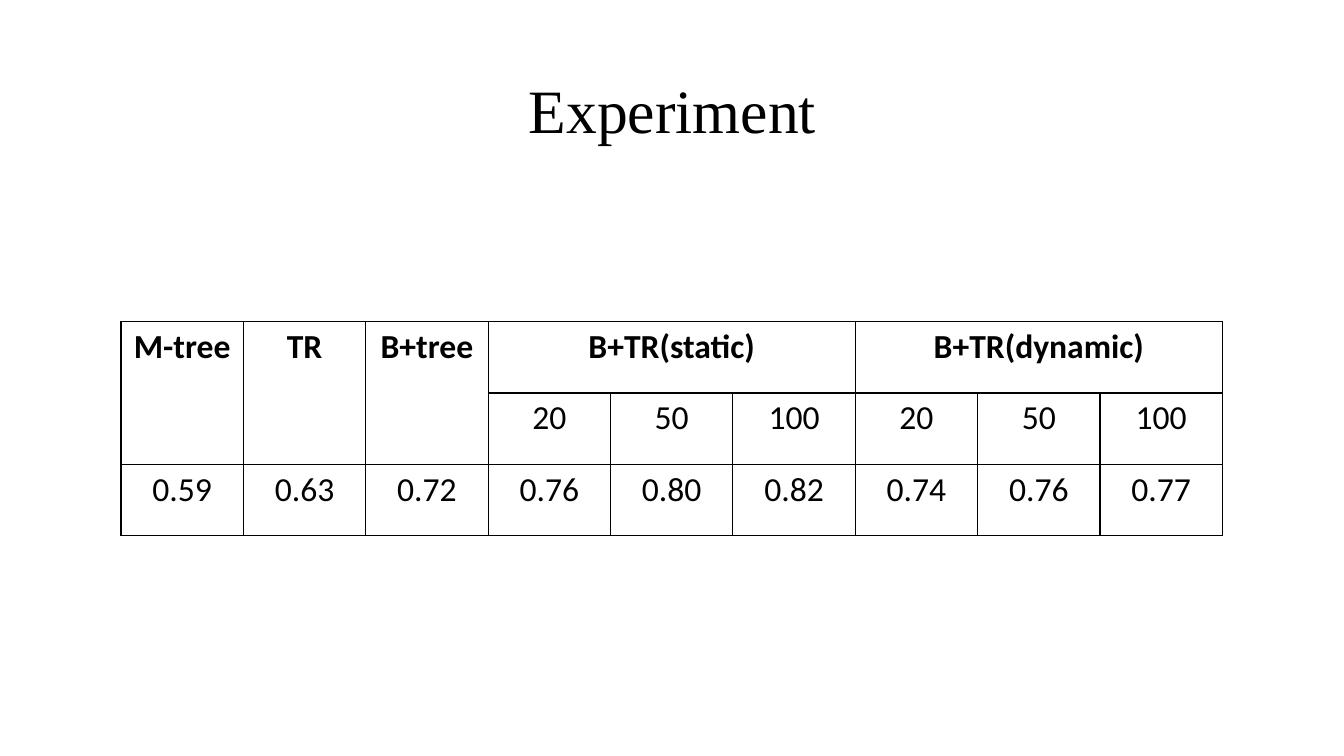
from dataclasses import dataclass

from lxml import etree
from pptx import Presentation
from pptx.dml.color import RGBColor
from pptx.enum.text import MSO_ANCHOR, PP_ALIGN
from pptx.oxml.ns import qn
from pptx.slide import Slide
from pptx.table import Table, _Cell
from pptx.text.text import _Paragraph
from pptx.util import Inches, Pt

CENTER = PP_ALIGN.CENTER
MIDDLE = MSO_ANCHOR.MIDDLE
TITLE_ONLY_LAYOUT = 5
BLACK = "000000"
TITLE_FONT = "Times New Roman"
TABLE_FONT = "Calibri"
SLIDE_WIDTH, SLIDE_HEIGHT = Inches(13.33), Inches(7.5)
COLUMN_WIDTH, ROW_HEIGHT = Inches(1.214), Inches(0.708)
ROW_COUNT, COLUMN_COUNT = 3, 9
TABLE_LEFT, TABLE_TOP = Inches(1.2), Inches(3.19)


@dataclass(frozen=True)
class Entry:
    text: str
    row: int
    column: int
    row_span: int = 1
    column_span: int = 1
    bold: bool = False


SIZES = ("20", "50", "100")
RESULTS = ("0.59", "0.63", "0.72", "0.76", "0.80", "0.82", "0.74", "0.76", "0.77")
ENTRIES = [
    *(Entry(text, 0, column, row_span=2, bold=True)
      for column, text in enumerate(("M-tree", "TR", "B+tree"))),
    *(Entry(text, 0, column, column_span=len(SIZES), bold=True)
      for column, text in ((3, "B+TR(static)"), (6, "B+TR(dynamic)"))),
    *(Entry(text, 1, column) for column, text in enumerate(SIZES * 2, start=3)),
    *(Entry(text, 2, column) for column, text in enumerate(RESULTS)),
]


def color(value: str) -> RGBColor:
    return RGBColor.from_string(value)


def format_paragraph(paragraph: _Paragraph, font_name: str, size: int, bold: bool) -> None:
    paragraph.alignment = CENTER
    for run in paragraph.runs:
        run.font.name = font_name
        run.font.size = Pt(size)
        run.font.bold = bold
        run.font.color.rgb = color(BLACK)


def add_title(slide: Slide, text: str) -> None:
    title = slide.shapes.title
    title.left, title.top = Inches(0.92), Inches(0.4)
    title.width, title.height = Inches(11.5), Inches(1.45)
    title.text_frame.text = text
    title.text_frame.vertical_anchor = MIDDLE
    paragraph = title.text_frame.paragraphs[0]
    paragraph.line_spacing = 0.9
    format_paragraph(paragraph, TITLE_FONT, 44, False)


def style_cell(cell: _Cell) -> None:
    properties = cell._tc.get_or_add_tcPr()
    for side in ("a:lnL", "a:lnR", "a:lnT", "a:lnB"):
        border = etree.SubElement(properties, qn(side), w=str(Pt(1)))
        fill = etree.SubElement(border, qn("a:solidFill"))
        etree.SubElement(fill, qn("a:srgbClr"), val=BLACK)
    cell.fill.background()


def fill_entry(table: Table, entry: Entry) -> None:
    cell = table.cell(entry.row, entry.column)
    if entry.row_span > 1 or entry.column_span > 1:
        cell.merge(table.cell(entry.row + entry.row_span - 1,
                              entry.column + entry.column_span - 1))
    cell.text_frame.text = entry.text
    format_paragraph(cell.text_frame.paragraphs[0], TABLE_FONT, 24, entry.bold)


def add_results_table(slide: Slide) -> None:
    table = slide.shapes.add_table(
        ROW_COUNT, COLUMN_COUNT, TABLE_LEFT, TABLE_TOP,
        COLUMN_WIDTH * COLUMN_COUNT, ROW_HEIGHT * ROW_COUNT).table
    table.first_row = False
    table.horz_banding = False
    for column in table.columns:
        column.width = COLUMN_WIDTH
    for row in table.rows:
        row.height = ROW_HEIGHT
    for cell in table.iter_cells():
        style_cell(cell)
    for entry in ENTRIES:
        fill_entry(table, entry)


def main() -> None:
    presentation = Presentation()
    presentation.slide_width = SLIDE_WIDTH
    presentation.slide_height = SLIDE_HEIGHT
    slide = presentation.slides.add_slide(presentation.slide_layouts[TITLE_ONLY_LAYOUT])
    add_title(slide, "Experiment")
    add_results_table(slide)
    presentation.save("out.pptx")


if __name__ == "__main__":
    main()
